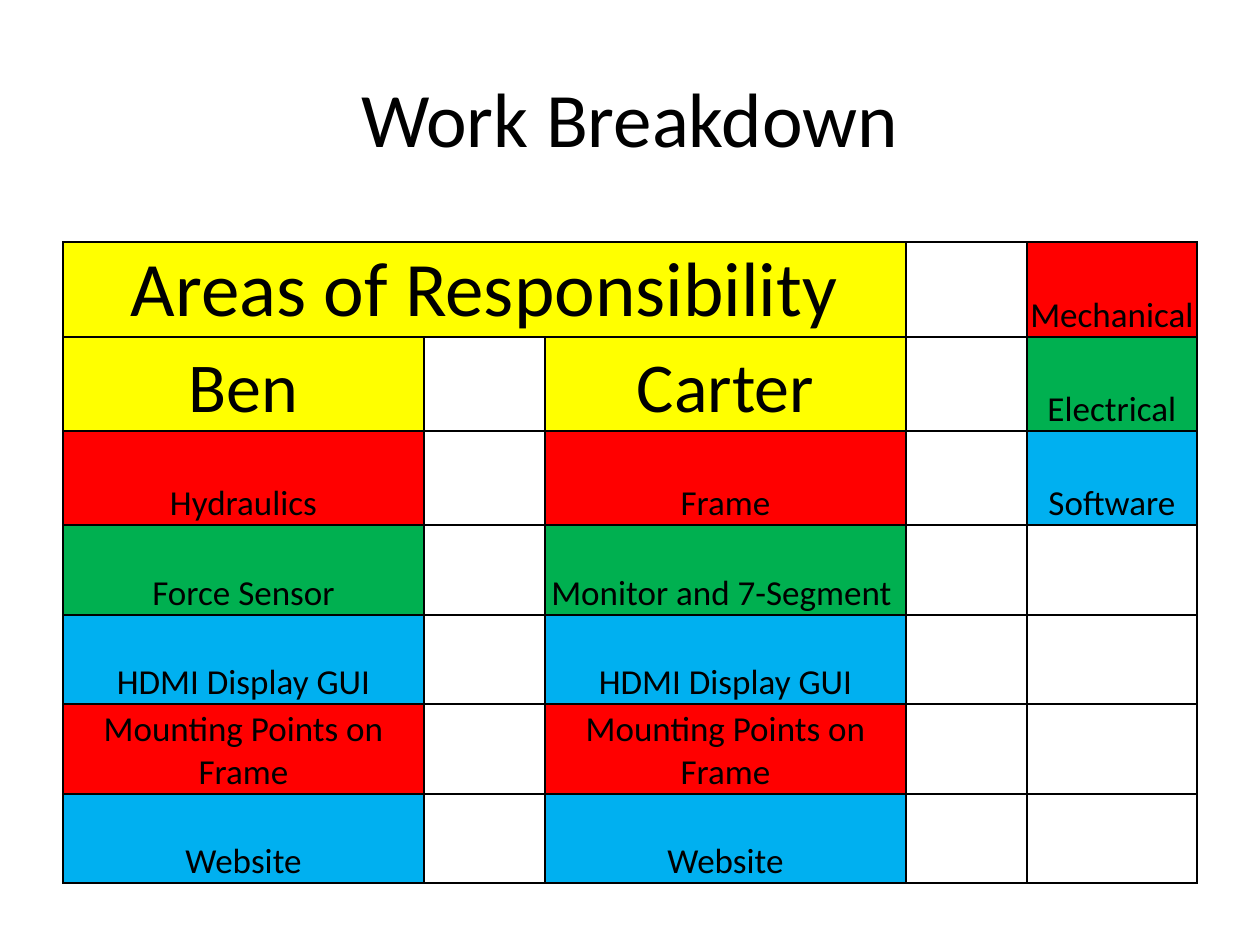
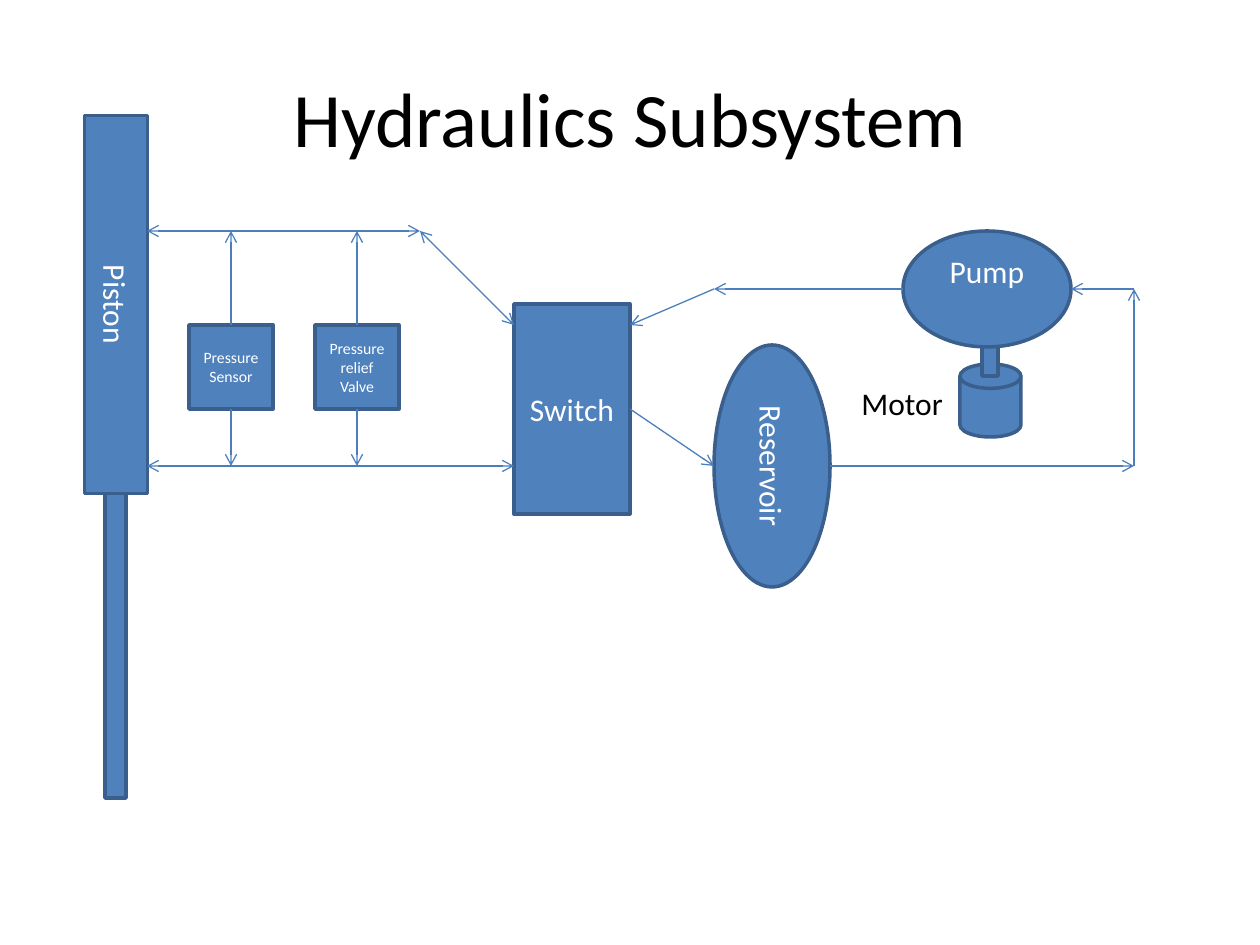
from dataclasses import dataclass
from itertools import product

from lxml.etree import SubElement
from pptx import Presentation
from pptx.dml.color import RGBColor
from pptx.enum.shapes import MSO_CONNECTOR, MSO_SHAPE
from pptx.enum.text import MSO_ANCHOR, MSO_AUTO_SIZE, PP_ALIGN
from pptx.oxml import parse_xml
from pptx.oxml.ns import nsdecls, qn
from pptx.slide import Slide
from pptx.table import _Cell
from pptx.text.text import TextFrame
from pptx.util import Emu, Pt


@dataclass(frozen=True)
class Theme:
    font: str = "Calibri"
    ink: str = "000000"
    paper: str = "FFFFFF"
    yellow: str = "FFFF00"
    red: str = "FF0000"
    green: str = "00B050"
    cyan: str = "00B0F0"
    steel: str = "4F81BD"
    edge: str = "3A5F8C"
    pipe: str = "4B7EBC"
    title: int = 44
    name: int = 40
    task: int = 20
    label: int = 18
    small: int = 9
    rim: float = 2
    thin: float = 0.75
    grid: float = 1


@dataclass(frozen=True)
class Entry:
    row: int
    col: int
    text: str
    fill: str
    size: int


@dataclass(frozen=True)
class Part:
    kind: MSO_SHAPE
    left: int
    top: int
    width: int
    height: int
    text: str = ""
    size: int = 0
    turn: int = 0
    lift: int = 0


@dataclass(frozen=True)
class Pipe:
    start: tuple[int, int]
    end: tuple[int, int]
    both: bool = False


LOOK = Theme()


def px(count: int) -> Emu:
    return Emu(round(count * 914400 / 126))


def rgb(code: str) -> RGBColor:
    return RGBColor.from_string(code)


def write(frame: TextFrame, text: str, size: int, tint: str,
          align: PP_ALIGN = PP_ALIGN.CENTER) -> None:
    line = frame.paragraphs[0]
    line.alignment = align
    run = line.add_run()
    run.text = text
    run.font.name = LOOK.font
    run.font.size = Pt(size)
    run.font.color.rgb = rgb(tint)


def add_page(deck: Presentation, text: str) -> Slide:
    slide = deck.slides.add_slide(deck.slide_layouts[5])
    title = slide.shapes.title
    title.left, title.top, title.width, title.height = map(px, (63, 38, 1134, 158))
    title.text_frame.vertical_anchor = MSO_ANCHOR.MIDDLE
    write(title.text_frame, text, LOOK.title, LOOK.ink)
    return slide


def frame_cell(cell: _Cell) -> None:
    props = cell._tc.get_or_add_tcPr()
    for spot, side in enumerate("LRTB"):
        props.insert(spot, parse_xml(
            f'<a:ln{side} {nsdecls("a")} w="{Pt(LOOK.grid)}"><a:solidFill>'
            f'<a:srgbClr val="{LOOK.ink}"/></a:solidFill></a:ln{side}>'))
    cell.fill.background()


def fill_cell(cell: _Cell, entry: Entry) -> None:
    cell.fill.solid()
    cell.fill.fore_color.rgb = rgb(entry.fill)
    cell.margin_left = cell.margin_right = cell.margin_top = px(1)
    cell.margin_bottom = 0
    cell.vertical_anchor = MSO_ANCHOR.BOTTOM
    write(cell.text_frame, entry.text, entry.size, LOOK.ink)


def add_grid(slide: Slide, cols: list[int], rows: list[int],
             items: list[Entry]) -> None:
    table = slide.shapes.add_table(
        len(rows), len(cols), px(63), px(242), px(sum(cols)), px(sum(rows))).table
    table.first_row = table.horz_banding = False
    for col, width in zip(table.columns, cols):
        col.width = px(width)
    for row, height in zip(table.rows, rows):
        row.height = px(height)
    for row, col in product(range(len(rows)), range(len(cols))):
        frame_cell(table.cell(row, col))
    table.cell(0, 0).merge(table.cell(0, 2))
    for item in items:
        fill_cell(table.cell(item.row, item.col), item)


def add_part(slide: Slide, part: Part) -> None:
    shape = slide.shapes.add_shape(
        part.kind, px(part.left), px(part.top), px(part.width), px(part.height))
    shape.rotation = part.turn
    shape.shadow.inherit = False
    shape.fill.solid()
    shape.fill.fore_color.rgb = rgb(LOOK.steel)
    shape.line.color.rgb = rgb(LOOK.edge)
    shape.line.width = Pt(LOOK.rim)
    if part.text:
        frame = shape.text_frame
        frame.word_wrap = True
        frame.vertical_anchor = MSO_ANCHOR.MIDDLE
        frame.margin_bottom += px(part.lift)
        write(frame, part.text, part.size, LOOK.paper)


def add_pipe(slide: Slide, pipe: Pipe) -> None:
    link = slide.shapes.add_connector(
        MSO_CONNECTOR.STRAIGHT, *map(px, pipe.start + pipe.end))
    link.line.color.rgb = rgb(LOOK.pipe)
    link.line.width = Pt(LOOK.thin)
    props = link.element.spPr
    stroke = props.find(qn("a:ln"))
    for tip in ("a:headEnd", "a:tailEnd") if pipe.both else ("a:tailEnd",):
        SubElement(stroke, qn(tip), type="arrow")
    SubElement(props, qn("a:effectLst"))


def add_note(slide: Slide, text: str, left: int, top: int,
             width: int, height: int) -> None:
    frame = slide.shapes.add_textbox(*map(px, (left, top, width, height))).text_frame
    frame.word_wrap = False
    frame.auto_size = MSO_AUTO_SIZE.SHAPE_TO_FIT_TEXT
    write(frame, text, LOOK.label, LOOK.ink, PP_ALIGN.LEFT)


def draw_work(deck: Presentation) -> None:
    slide = add_page(deck, "Work Breakdown")
    tasks = [
        ("Hydraulics", "Frame", LOOK.red),
        ("Force Sensor", "Monitor and 7-Segment ", LOOK.green),
        ("HDMI Display GUI", "HDMI Display GUI", LOOK.cyan),
        ("Mounting Points on Frame", "Mounting Points on Frame", LOOK.red),
        ("Website", "Website", LOOK.cyan),
    ]
    fields = [("Mechanical", LOOK.red), ("Electrical", LOOK.green),
              ("Software", LOOK.cyan)]
    items = [
        Entry(0, 0, "Areas of Responsibility", LOOK.yellow, LOOK.title),
        Entry(1, 0, "Ben", LOOK.yellow, LOOK.name),
        Entry(1, 2, "Carter", LOOK.yellow, LOOK.name),
    ]
    for row, (ben, carter, fill) in enumerate(tasks, 2):
        items += [Entry(row, 0, ben, fill, LOOK.task),
                  Entry(row, 2, carter, fill, LOOK.task)]
    items += [Entry(row, 4, text, fill, LOOK.task)
              for row, (text, fill) in enumerate(fields)]
    add_grid(slide, [361, 121, 361, 121, 170], [94] * 3 + [90, 89] * 2, items)


def draw_fluid(deck: Presentation) -> None:
    slide = add_page(deck, "Hydraulics Subsystem")
    box, oval = MSO_SHAPE.RECTANGLE, MSO_SHAPE.OVAL
    drum = MSO_SHAPE.FLOWCHART_DIRECT_ACCESS_STORAGE
    high, mid, low = 231, 289, 466
    wall, bend, inlet, outlet, tank, far = 147, 420, 514, 630, 714, 1134
    port, size, gauges = 325, 84, {189: "Pressure Sensor", 315: "Pressure relief Valve"}
    parts = [
        Part(drum, 954, 370, 73, 61, turn=270),
        Part(box, 982, 334, 16, 42),
        Part(box, 105, port, 21, 473),
        Part(box, -73, 273, 378, 63, "Piston", LOOK.label, turn=90),
        *(Part(box, left, port, size, size, text, LOOK.small)
          for left, text in gauges.items()),
        Part(box, inlet, 304, 116, 210, "Switch", LOOK.label),
        Part(oval, 903, high, 168, 116, "Pump", LOOK.label, lift=36),
        Part(oval, 651, 408, 242, 116, "Reservoir", LOOK.label, turn=90),
    ]
    pipes = [
        Pipe((903, mid), (tank, mid)),
        Pipe((tank, mid), (outlet, port)),
        Pipe((inlet, port), (bend, high), True),
        Pipe((bend, high), (wall, high), True),
        Pipe((wall, low), (inlet, low), True),
        Pipe((outlet, port + size), (tank, low)),
        Pipe((830, low), (far, low)),
        Pipe((far, low), (far, mid)),
        Pipe((far, mid), (1071, mid)),
    ]
    for left in gauges:
        axis = left + size // 2
        pipes += [Pipe((axis, port), (axis, high)),
                  Pipe((axis, port + size), (axis, low))]
    for part in parts:
        add_part(slide, part)
    for pipe in pipes:
        add_pipe(slide, pipe)
    add_note(slide, "Motor", 849, 378, 107, 50)


def main() -> None:
    deck = Presentation()
    deck.slide_width, deck.slide_height = px(1260), px(945)
    draw_work(deck)
    draw_fluid(deck)
    deck.save("out.pptx")


main()
